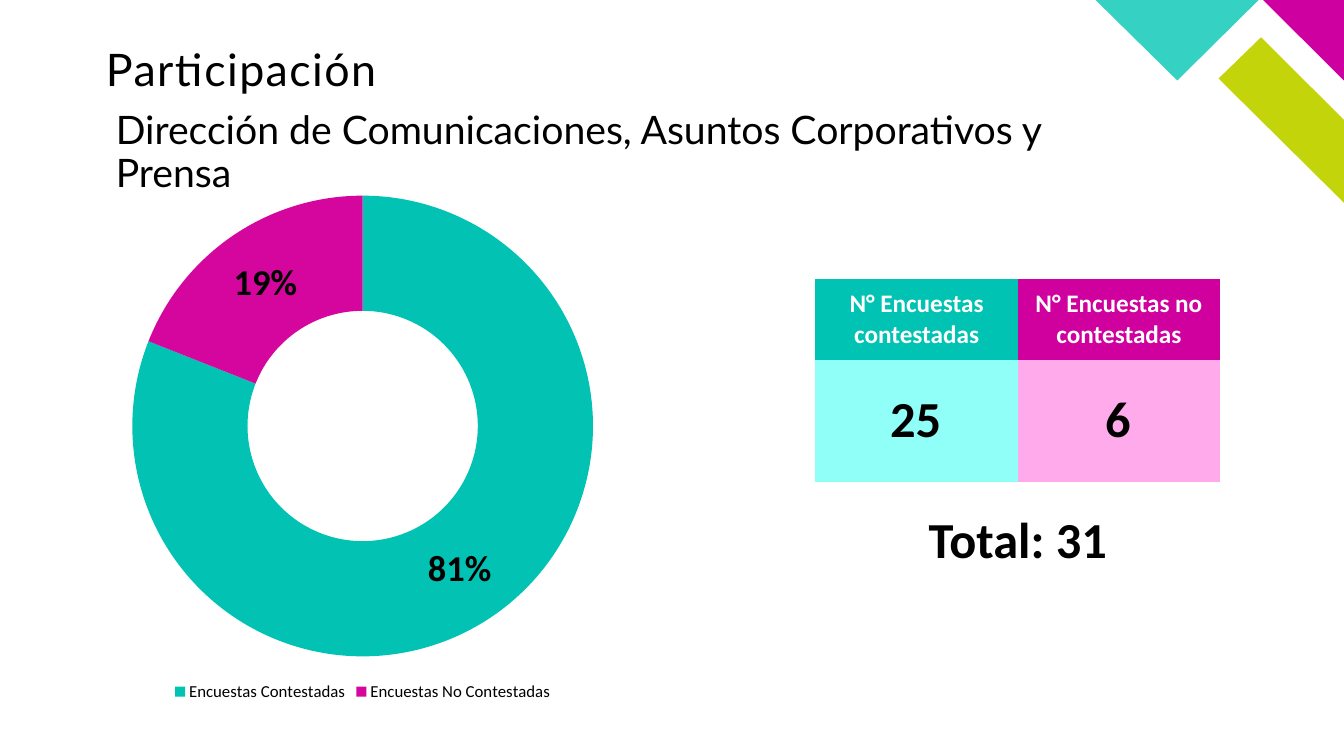
from dataclasses import dataclass

from pptx import Presentation
from pptx import util as u
from pptx.chart import data as chart_data
from pptx.dml.color import RGBColor
from pptx.enum import chart as charts, text
from pptx.oxml import ns


@dataclass(frozen=True)
class Theme:
    teal: str = "00C3B3"
    magenta: str = "D0009E"
    pale_teal: str = "8FFFF7"
    pale_pink: str = "FFABEB"
    slice_teal: str = "01C2B3"
    slice_magenta: str = "D4069D"
    corner_lime: str = "C4D40A"
    corner_magenta: str = "CE009F"
    corner_teal: str = "35D2C4"
    ink: str = "000000"
    white: str = "FFFFFF"
    heading_font: str = "Lato"
    body_font: str = "Calibri"
    title: int = 32
    subtitle: int = 28
    figure: int = 36
    header: int = 18
    label: int = 26
    legend: int = 12


THEME = Theme()
NO_GRID_STYLE = "{2D5ABB26-0587-4C30-8999-92F81FD0307C}"

# Table geometry in centimetres
TABLE_LEFT, TABLE_TOP = 20.55, 7.04
COLUMN_WIDTH, HEADER_HEIGHT, COUNT_HEIGHT = 5.1, 2.03, 3.07


def style_font(font, name, size, color=THEME.ink, bold=False):
    font.name, font.size, font.bold = name, u.Pt(size), bold
    font.color.rgb = RGBColor.from_string(color)


def paint(fill, color):
    fill.solid()
    fill.fore_color.rgb = RGBColor.from_string(color)


def add_corner(page, points, color):
    start, *others = [(u.Cm(x), u.Cm(y)) for x, y in points]
    builder = page.shapes.build_freeform(*start)
    builder.add_line_segments(others, close=True)
    corner = builder.convert_to_shape()
    corner.shadow.inherit = False
    paint(corner.fill, color)
    corner.line.fill.background()


def set_title(page, wording):
    title = page.shapes.title
    title.left, title.top = u.Cm(2.67), u.Cm(1.21)
    title.width, title.height = u.Cm(14.25), u.Cm(1.7)
    frame = title.text_frame
    frame.margin_left = frame.margin_right = 0
    frame.margin_top = frame.margin_bottom = 0
    frame.vertical_anchor = text.MSO_ANCHOR.TOP
    frame.word_wrap = True
    para = frame.paragraphs[0]
    span = para.add_run()
    span.text = wording
    para.alignment = text.PP_ALIGN.LEFT
    para.line_spacing = 0.9
    style_font(span.font, THEME.heading_font, THEME.title)
    # Letter spacing of one point
    for properties in title.element.iter(ns.qn("a:rPr")):
        properties.set("spc", "100")


def add_text(page, wording, area, font, size, bold=False,
             align=text.PP_ALIGN.LEFT, anchor=text.MSO_ANCHOR.TOP):
    box = page.shapes.add_textbox(*map(u.Cm, area))
    frame = box.text_frame
    frame.word_wrap = True
    frame.vertical_anchor = anchor
    para = frame.paragraphs[0]
    para.text = wording
    para.alignment = align
    para.line_spacing = 0.9
    style_font(para.font, font, size, bold=bold)


def add_figure(page, wording, left, top, width):
    add_text(page, wording, (left, top, width, COUNT_HEIGHT), THEME.body_font,
             THEME.figure, bold=True, align=text.PP_ALIGN.CENTER,
             anchor=text.MSO_ANCHOR.MIDDLE)


def add_counts(page, columns):
    """Each column is (header, header fill, count, count fill)."""
    count_top = TABLE_TOP + HEADER_HEIGHT
    total_width = COLUMN_WIDTH * len(columns)
    holder = page.shapes.add_table(
        2, len(columns), u.Cm(TABLE_LEFT), u.Cm(TABLE_TOP),
        u.Cm(total_width), u.Cm(HEADER_HEIGHT + COUNT_HEIGHT))
    for style in holder.element.iter(ns.qn("a:tableStyleId")):
        style.text = NO_GRID_STYLE
    table = holder.table
    table.first_row = table.horz_banding = False
    table.rows[0].height = u.Cm(HEADER_HEIGHT)
    table.rows[1].height = u.Cm(COUNT_HEIGHT)
    for index, (header, header_fill, count, count_fill) in enumerate(columns):
        cell = table.cell(0, index)
        paint(cell.fill, header_fill)
        cell.vertical_anchor = text.MSO_ANCHOR.MIDDLE
        para = cell.text_frame.paragraphs[0]
        para.text = header
        para.alignment = text.PP_ALIGN.CENTER
        style_font(para.font, THEME.body_font, THEME.header, THEME.white, bold=True)
        paint(table.cell(1, index).fill, count_fill)
        add_figure(page, count, TABLE_LEFT + index * COLUMN_WIDTH, count_top, 5.05)
    total = sum(int(count) for _, _, count, _ in columns)
    add_figure(page, f"Total: {total}", TABLE_LEFT, count_top + COUNT_HEIGHT, total_width)


def add_ring(page, slices):
    """Each slice is (name, share, color)."""
    shares = chart_data.CategoryChartData(number_format="0%")
    shares.categories = [name for name, _, _ in slices]
    shares.add_series("Series 1", [share for _, share, _ in slices])
    chart = page.shapes.add_chart(charts.XL_CHART_TYPE.DOUGHNUT, u.Cm(2.54),
                                  u.Cm(4.58), u.Cm(13.2), u.Cm(13.2), shares).chart
    chart.has_title = False
    style_font(chart.font, THEME.body_font, THEME.header, THEME.white)
    chart.has_legend = True
    chart.legend.position = charts.XL_LEGEND_POSITION.BOTTOM
    chart.legend.include_in_layout = False
    style_font(chart.legend.font, THEME.body_font, THEME.legend)
    plot = chart.plots[0]
    plot.vary_by_categories = True
    for index, (_, _, color) in enumerate(slices):
        point = plot.series[0].points[index]
        paint(point.format.fill, color)
        point.format.line.fill.background()
    labels = plot.series[0].data_labels
    labels.show_value, labels.show_percentage = True, False
    labels.number_format, labels.number_format_is_linked = "0%", False
    style_font(labels.font, THEME.body_font, THEME.label, bold=True)


def main():
    deck = Presentation()
    deck.slide_width, deck.slide_height = u.Cm(33.87), u.Cm(19.05)
    page = deck.slides.add_slide(deck.slide_layouts[5])

    # Corner ornament
    add_corner(page, [(33.87, 5.11), (33.87, 3.02), (31.78, 0.94), (30.71, 1.98)],
               THEME.corner_lime)
    add_corner(page, [(33.87, 2.03), (33.87, 0), (31.83, 0)], THEME.corner_magenta)
    add_corner(page, [(27.61, 0), (29.67, 2.03), (31.72, 0)], THEME.corner_teal)

    # Headings
    set_title(page, "Participación")
    add_text(page, "Dirección de Comunicaciones, Asuntos Corporativos y Prensa",
             (2.67, 2.67, 24.84, 2.44), THEME.heading_font, THEME.subtitle)

    # Survey counts and total
    add_counts(page, [
        ("N° Encuestas contestadas", THEME.teal, "25", THEME.pale_teal),
        ("N° Encuestas no contestadas", THEME.magenta, "6", THEME.pale_pink),
    ])

    # Share of answered surveys
    add_ring(page, [("Encuestas Contestadas", 0.81, THEME.slice_teal),
                    ("Encuestas No Contestadas", 0.19, THEME.slice_magenta)])

    deck.save("out.pptx")


if __name__ == "__main__":
    main()
